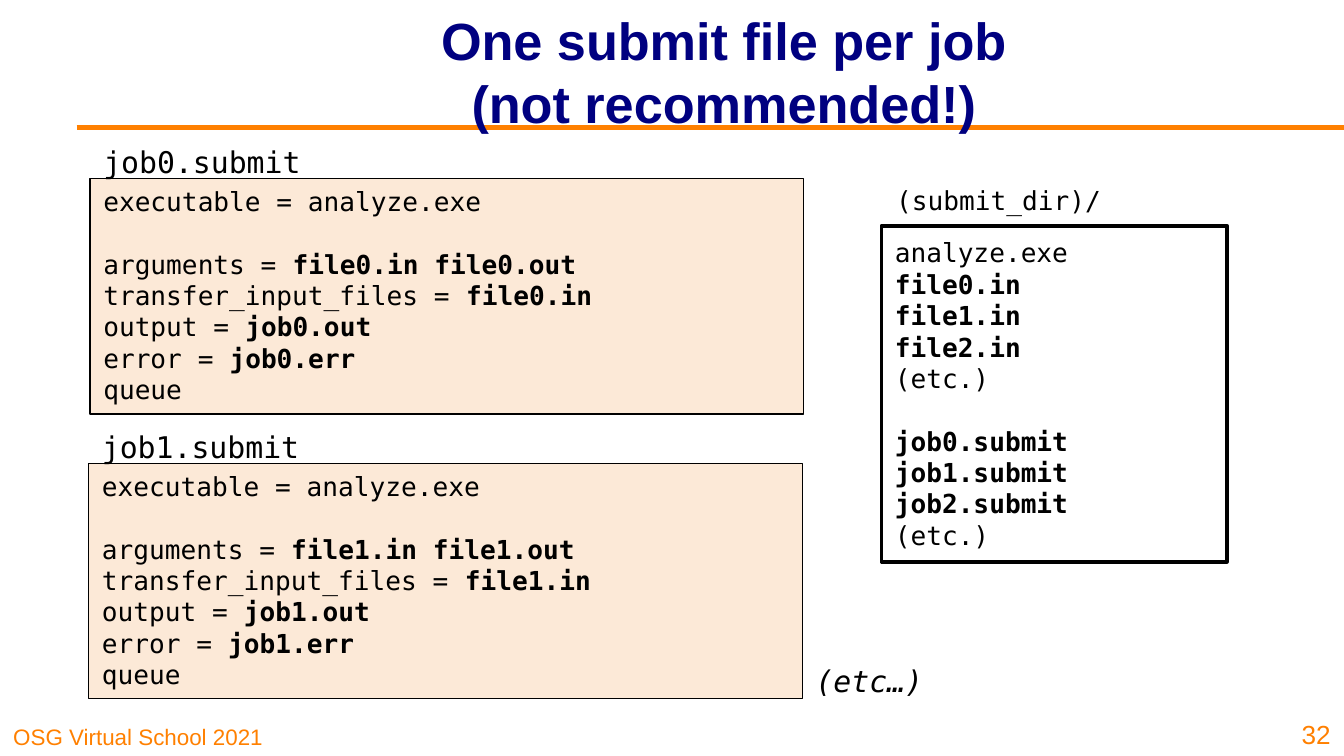
from lxml import etree
from pptx import Presentation
from pptx.dml.color import RGBColor
from pptx.enum.shapes import MSO_CONNECTOR, MSO_SHAPE
from pptx.enum.text import MSO_ANCHOR as ANCHOR, MSO_AUTO_SIZE as AUTO_SIZE, PP_ALIGN as ALIGN
from pptx.oxml.ns import qn
from pptx.util import Inches, Pt

COLORS = {
    "title": "000080",
    "accent": "FF8000",
    "code": "000000",
    "submit": "FCE9D7",
    "directory": "FFFFFF",
}
SANS = "Arial"
MONO = "DejaVu Sans Mono"
CODE_GAP = Pt(16.8)


def color(name):
    return RGBColor.from_string(COLORS[name])


def add_run(paragraph, text, size, font=MONO, fill="code", bold=False, italic=False):
    run = paragraph.add_run()
    run.text = text
    run.font.name = font
    run.font.size = Pt(size)
    run.font.bold = bold
    run.font.italic = italic
    run.font.color.rgb = color(fill)


def add_label(slide, box, text, size, align=ALIGN.LEFT, anchor=ANCHOR.TOP, wrap=False, **style):
    shape = slide.shapes.add_textbox(*map(Inches, box))
    frame = shape.text_frame
    frame.word_wrap = wrap
    frame.auto_size = AUTO_SIZE.NONE if wrap else AUTO_SIZE.SHAPE_TO_FIT_TEXT
    frame.vertical_anchor = anchor
    paragraph = frame.paragraphs[0]
    paragraph.alignment = align
    add_run(paragraph, text, size, **style)


def add_code_box(slide, box, groups, fill, line_width, anchor):
    shape = slide.shapes.add_shape(MSO_SHAPE.RECTANGLE, *map(Inches, box))
    shape.shadow.inherit = False
    shape.fill.solid()
    shape.fill.fore_color.rgb = color(fill)
    shape.line.color.rgb = color("code")
    shape.line.width = Pt(line_width)
    frame = shape.text_frame
    frame.word_wrap = True
    frame.vertical_anchor = anchor
    paragraph = None
    for group in groups:
        for index, (plain, strong) in enumerate(group):
            first = paragraph is None
            paragraph = frame.paragraphs[0] if first else frame.add_paragraph()
            paragraph.alignment = ALIGN.LEFT
            if index == 0 and not first:
                paragraph.space_before = CODE_GAP
            if plain:
                add_run(paragraph, plain, 14)
            if strong:
                add_run(paragraph, strong, 14, bold=True)


def add_title(slide, box):
    title = slide.shapes.title
    title.left, title.top, title.width, title.height = map(Inches, box)
    frame = title.text_frame
    frame.word_wrap = True
    frame.auto_size = AUTO_SIZE.NONE
    frame.vertical_anchor = ANCHOR.MIDDLE
    frame.margin_right = Inches(0.21)
    paragraph = frame.paragraphs[0]
    paragraph.alignment = ALIGN.CENTER
    style = dict(size=28, font=SANS, fill="title", bold=True)
    add_run(paragraph, "One submit file per job", **style)
    paragraph.add_line_break()
    add_run(paragraph, "(not recommended!)", **style)


def add_rule(slide, left, right, top):
    rule = slide.shapes.add_connector(
        MSO_CONNECTOR.STRAIGHT, Inches(left), Inches(top), Inches(right), Inches(top))
    rule.line.color.rgb = color("accent")
    rule.line.width = Pt(3)
    etree.SubElement(rule._element.spPr, qn("a:effectLst"))
    slide.shapes.title._element.addprevious(rule._element)


def add_footer(slide, bottom, right):
    style = dict(anchor=ANCHOR.BOTTOM, wrap=True, font=SANS, fill="accent")
    add_label(slide, (0, bottom - 0.31, 2.48, 0.31), "OSG Virtual School 2021", 12, **style)
    add_label(slide, (right - 0.46, bottom - 0.38, 0.46, 0.38), "32", 14,
              align=ALIGN.RIGHT, **style)


def add_submit_file(slide, left, top, number):
    data, job = f"file{number}", f"job{number}"
    groups = [
        [("executable = analyze.exe", "")],
        [
            ("arguments = ", f"{data}.in {data}.out"),
            ("transfer_input_files = ", f"{data}.in"),
            ("output = ", f"{job}.out"),
            ("error = ", f"{job}.err"),
            ("queue", ""),
        ],
    ]
    add_code_box(slide, (left, top + 0.31, 5.31, 1.75), groups, "submit", 0.75, ANCHOR.TOP)
    add_label(slide, (left, top, 1.69, 0.37), f"{job}.submit", 16)


def add_directory(slide, left, top):
    inputs = [("", f"file{number}.in") for number in range(3)]
    submits = [("", f"job{number}.submit") for number in range(3)]
    more = [("(etc.)", "")]
    groups = [[("analyze.exe", "")] + inputs + more, submits + more]
    add_code_box(slide, (left, top + 0.36, 2.57, 2.5), groups, "directory", 2, ANCHOR.MIDDLE)
    add_label(slide, (left + 0.01, top, 2.17, 0.33), "(submit_dir)/", 14)


def main():
    presentation = Presentation()
    presentation.slide_width = Inches(10)
    presentation.slide_height = Inches(10 * 9 / 16)
    slide = presentation.slides.add_slide(presentation.slide_layouts[5])
    add_rule(slide, 0.57, 10, 0.95)
    add_title(slide, (1.34, 0.06, 8.2, 0.94))
    add_footer(slide, 5.63, 10)
    add_submit_file(slide, 0.67, 1.02, 0)
    add_submit_file(slide, 0.66, 3.14, 1)
    add_directory(slide, 6.56, 1.32)
    add_label(slide, (5.97, 4.88, 1.01, 0.37), "(etc…)", 16, italic=True)
    presentation.save("out.pptx")


if __name__ == "__main__":
    main()
